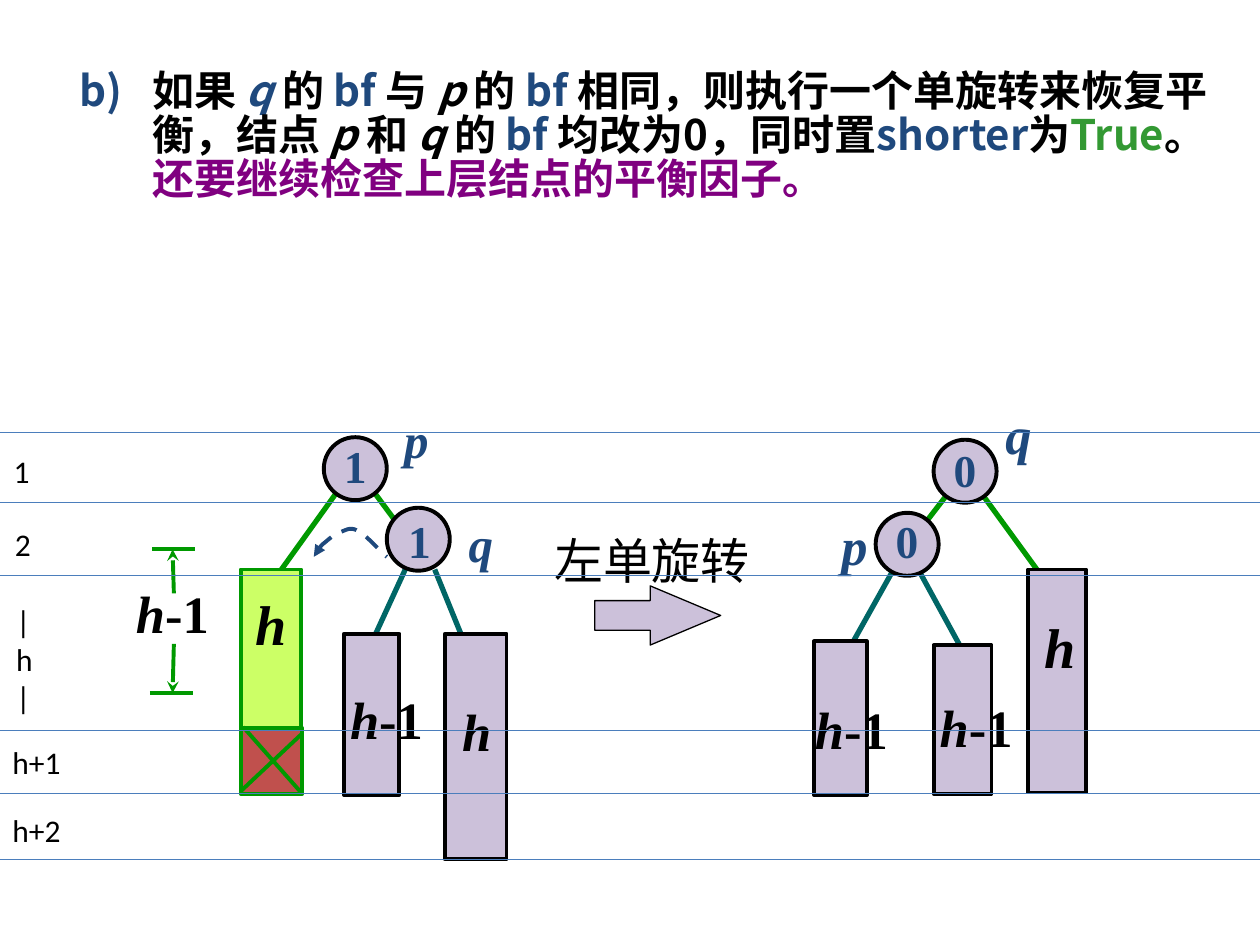
import dataclasses
import pptx
import pptx.dml.color
import pptx.enum.dml
import pptx.enum.shapes
import pptx.enum.text
import pptx.oxml
import pptx.oxml.ns
import pptx.util
from pptx.util import Inches

SHAPE = pptx.enum.shapes.MSO_SHAPE


@dataclasses.dataclass(frozen=True)
class Theme:
    ink: str = "000000"
    navy: str = "1F497D"
    lilac: str = "CCC1DA"
    lime: str = "CCFF66"
    red: str = "C0504D"
    green: str = "009900"
    teal: str = "006666"
    true_green: str = "339933"
    purple: str = "800080"
    level: str = "4B7EBC"
    serif: str = "Times New Roman"
    sans: str = "Calibri"
    cjk: str = "Noto Sans CJK SC"
    body: int = 24
    balance: int = 26
    caption: int = 28
    height: int = 30
    tall: int = 32
    scale: int = 18
    hairline: float = 0.75
    outline: float = 2.25
    edge: float = 3


class SlideBuilder:
    def __init__(self, slide, theme):
        self.slide = slide
        self.theme = theme
        self.shapes = slide.shapes

    def open_group(self):
        self.shapes = self.slide.shapes.add_group_shape().shapes

    def close_group(self):
        self.shapes = self.slide.shapes

    def rgb(self, color):
        return pptx.dml.color.RGBColor.from_string(color)

    def stroke(self, line, color, width):
        line.color.rgb = self.rgb(color)
        line.width = pptx.util.Pt(width)

    def arrowhead(self, line, end, kind):
        ln = line._get_or_add_ln()
        pptx.oxml.ns.qn("a:ln")
        ln.append(pptx.oxml.parse_xml(
            f'<a:{end} {pptx.oxml.ns.nsdecls("a")} type="{kind}"/>'))

    def line(self, start, end, color, width, arrow=None):
        sp = self.shapes.add_connector(
            pptx.enum.shapes.MSO_CONNECTOR.STRAIGHT,
            *(Inches(v) for v in (*start, *end)))
        self.stroke(sp.line, color, width)
        if arrow:
            self.arrowhead(sp.line, "tailEnd", arrow)
        sp._element.spPr.append(pptx.oxml.parse_xml(
            f'<a:effectLst {pptx.oxml.ns.nsdecls("a")}/>'))

    def shape(self, kind, box, fill, line, width):
        sp = self.shapes.add_shape(kind, *(Inches(v) for v in box))
        sp.shadow.inherit = False
        sp.fill.solid()
        sp.fill.fore_color.rgb = self.rgb(fill)
        self.stroke(sp.line, line, width)
        return sp

    def curve(self, start, segments, color, width, steps=8):
        points = []
        p0 = start
        for p1, p2, p3 in segments:
            for t in (i / steps for i in range(1, steps + 1)):
                u = 1 - t
                points.append(tuple(
                    Inches(u**3 * a + 3 * u * u * t * b + 3 * u * t * t * c + t**3 * d)
                    for a, b, c, d in zip(p0, p1, p2, p3)))
            p0 = p3
        pen = self.shapes.build_freeform(*(Inches(v) for v in start))
        pen.add_line_segments(points, close=False)
        sp = pen.convert_to_shape()
        sp.shadow.inherit = False
        sp.fill.background()
        self.stroke(sp.line, color, width)
        sp.line.dash_style = pptx.enum.dml.MSO_LINE.DASH
        self.arrowhead(sp.line, "headEnd", "triangle")

    def run(self, p, text, color, size, font, **formats):
        r = p.add_run()
        r.text = text
        values = {"name": font, "size": pptx.util.Pt(size), **formats}
        for name, value in values.items():
            setattr(r.font, name, value)
        r.font.color.rgb = self.rgb(color)
        r._r.get_or_add_rPr().append(pptx.oxml.parse_xml(
            f'<a:ea {pptx.oxml.ns.nsdecls("a")} typeface="{self.theme.cjk}"/>'))

    def text_frame(self, box, wrap=True, grow=True):
        tf = self.shapes.add_textbox(*(Inches(v) for v in box)).text_frame
        tf.word_wrap = wrap
        if grow:
            tf.auto_size = pptx.enum.text.MSO_AUTO_SIZE.SHAPE_TO_FIT_TEXT
        return tf

    def label(self, box, text, color, size, italic=True):
        p = self.text_frame(box).paragraphs[0]
        name, dash, rest = text.partition("-")
        self.run(p, name, color, size, self.theme.serif, bold=True, italic=italic)
        if dash:
            self.run(p, dash + rest, color, size, self.theme.serif, bold=True, italic=False)

    def plain(self, box, lines, size, font, wrap=True):
        tf = self.text_frame(box, wrap)
        for i, text in enumerate(lines):
            p = tf.add_paragraph() if i else tf.paragraphs[0]
            self.run(p, text, self.theme.ink, size, font)

    def rule_text(self, box, runs):
        p = self.text_frame(box, grow=False).paragraphs[0]
        p.line_spacing = 0.87
        pPr = p._p.get_or_add_pPr()
        pPr.set("marL", str(Inches(1.08)))
        pPr.set("indent", str(Inches(-0.58)))
        ns = pptx.oxml.ns.nsdecls("a")
        for xml in (f'<a:buClr {ns}><a:srgbClr val="{self.theme.navy}"/></a:buClr>',
                    f'<a:buFont {ns} typeface="{self.theme.cjk}"/>',
                    f'<a:buAutoNum {ns} type="alphaLcParenR" startAt="2"/>'):
            pPr.append(pptx.oxml.parse_xml(xml))
        for text, color, italic in runs:
            self.run(p, text, color, self.theme.body, self.theme.cjk, bold=True, italic=italic)


def add_tree(s, edges, nodes, subtrees):
    t = s.theme
    for start, end, color in edges:
        s.line(start, end, color, t.edge)
    for box, fill, line in subtrees:
        s.shape(SHAPE.RECTANGLE, box, fill, line, t.outline)
    for x, y in nodes:
        s.shape(SHAPE.OVAL, (x, y, 0.5, 0.5), t.lilac, t.ink, t.outline)


def main():
    prs = pptx.Presentation()
    prs.slide_width, prs.slide_height = Inches(10), Inches(7.5)
    t = Theme()
    s = SlideBuilder(prs.slides.add_slide(prs.slide_layouts[6]), t)

    s.rule_text((0.03, 0.52, 9.77, 1.55), [
        ("如果 ", t.ink, False), ("q ", t.navy, True), ("的 ", t.ink, False),
        ("bf ", t.navy, False), ("与 ", t.ink, False), ("p ", t.ink, True),
        ("的 ", t.ink, False), ("bf ", t.navy, False),
        ("相同，则执行一个单旋转来恢复平衡，结点 ", t.ink, False),
        ("p ", t.ink, True), ("和 ", t.ink, False), ("q ", t.ink, True),
        ("的 ", t.ink, False), ("bf ", t.navy, False),
        ("均改为0，同时置", t.ink, False), ("shorter", t.navy, False),
        ("为", t.ink, False), ("True", t.true_green, False), ("。", t.ink, False),
        ("还要继续检查上层结点的平衡因子。", t.purple, False)])
    s.plain((4.3, 4.16, 1.76, 0.57), ["左单旋转"], t.caption, t.serif, wrap=False)

    s.open_group()
    add_tree(s,
             [((7.12, 4.47), (6.7, 5.22), t.teal), ((7.25, 4.45), (7.66, 5.2), t.teal),
              ((7.66, 3.74), (7.19, 4.35), t.green), ((7.72, 3.82), (8.39, 4.74), t.green)],
             [(7.41, 3.49), (6.95, 4.07)],
             [((6.46, 5.09, 0.42, 1.22), t.lilac, t.ink),
              ((7.41, 5.12, 0.46, 1.18), t.lilac, t.ink),
              ((8.16, 4.52, 0.46, 1.77), t.lilac, t.ink)])
    for box in ((7.01, 4.02, 0.58, 0.53), (7.47, 3.46, 0.75, 0.53)):
        s.label(box, "0", t.navy, t.balance, italic=False)
    for box in ((7.36, 5.47, 0.91, 0.6), (6.37, 5.48, 0.83, 0.6)):
        s.label(box, "h-1", t.ink, t.height)
    s.label((8.19, 4.81, 0.42, 0.63), "h", t.ink, t.tall)
    s.label((6.58, 4.02, 0.52, 0.6), "p", t.navy, t.height)
    s.label((7.88, 3.14, 0.52, 0.6), "q", t.navy, t.height)
    s.close_group()

    s.curve((2.49, 4.42), [
        ((2.51, 4.39), (2.53, 4.35), (2.56, 4.32)),
        ((2.6, 4.29), (2.66, 4.23), (2.71, 4.22)),
        ((2.76, 4.2), (2.79, 4.18), (2.85, 4.22)),
        ((2.91, 4.25), (3.03, 4.39), (3.07, 4.42))], t.navy, t.outline)

    s.open_group()
    add_tree(s,
             [((3.45, 4.52), (3.8, 5.38), t.teal), ((3.23, 4.49), (2.89, 5.23), t.teal),
              ((2.83, 3.72), (3.35, 4.42), t.green), ((2.75, 3.8), (2.09, 4.72), t.green)],
             [(2.57, 3.47), (3.07, 4.03)],
             [((1.91, 4.52, 0.48, 1.5), t.lime, t.green),
              ((2.73, 5.03, 0.44, 1.28), t.lilac, t.ink),
              ((1.91, 5.78, 0.49, 0.52), t.red, t.green),
              ((3.53, 5.03, 0.49, 1.79), t.lilac, t.ink)])
    for start, end, arrow in (((2.4, 5.82), (1.91, 6.28), None),
                              ((1.93, 5.77), (2.39, 6.29), None),
                              ((1.38, 5.11), (1.37, 5.5), "stealth"),
                              ((1.38, 4.71), (1.37, 4.36), "stealth"),
                              ((1.19, 5.5), (1.53, 5.5), None),
                              ((1.21, 4.36), (1.55, 4.36), None)):
        s.line(start, end, t.green, t.outline, arrow)
    for box in ((2.63, 3.43, 0.58, 0.53), (3.14, 4.02, 0.58, 0.53)):
        s.label(box, "1", t.navy, t.balance, italic=False)
    for box in ((2.68, 5.4, 0.83, 0.6), (0.98, 4.56, 0.83, 0.6)):
        s.label(box, "h-1", t.ink, t.height)
    s.label((1.93, 4.63, 0.51, 0.63), "h", t.ink, t.tall)
    s.label((3.57, 5.5, 0.42, 0.6), "h", t.ink, t.height)
    s.label((3.11, 3.2, 0.52, 0.57), "p", t.navy, t.caption)
    s.label((3.62, 4.03, 0.52, 0.57), "q", t.navy, t.caption)
    s.close_group()

    sp = s.shape(SHAPE.RIGHT_ARROW, (4.72, 4.65, 1, 0.47), t.lilac, t.ink, t.hairline)
    sp.adjustments[0], sp.adjustments[1] = 0.5, 1.19
    for y in (6.82, 6.3, 5.8, 4.57, 3.99, 3.43):
        s.line((0, y), (10, y), t.level, t.hairline)
    for x, y, text in ((0, 6.39, "h+2"), (0, 5.85, "h+1"), (0.02, 4.12, "2"), (0.01, 3.54, "1")):
        s.plain((x, y, 0.75, 0.4), [text], t.scale, t.sans)
    s.plain((0.03, 4.73, 0.41, 1.01), ["|", "h", "|"], t.scale, t.sans)

    prs.save("out.pptx")


if __name__ == "__main__":
    main()
